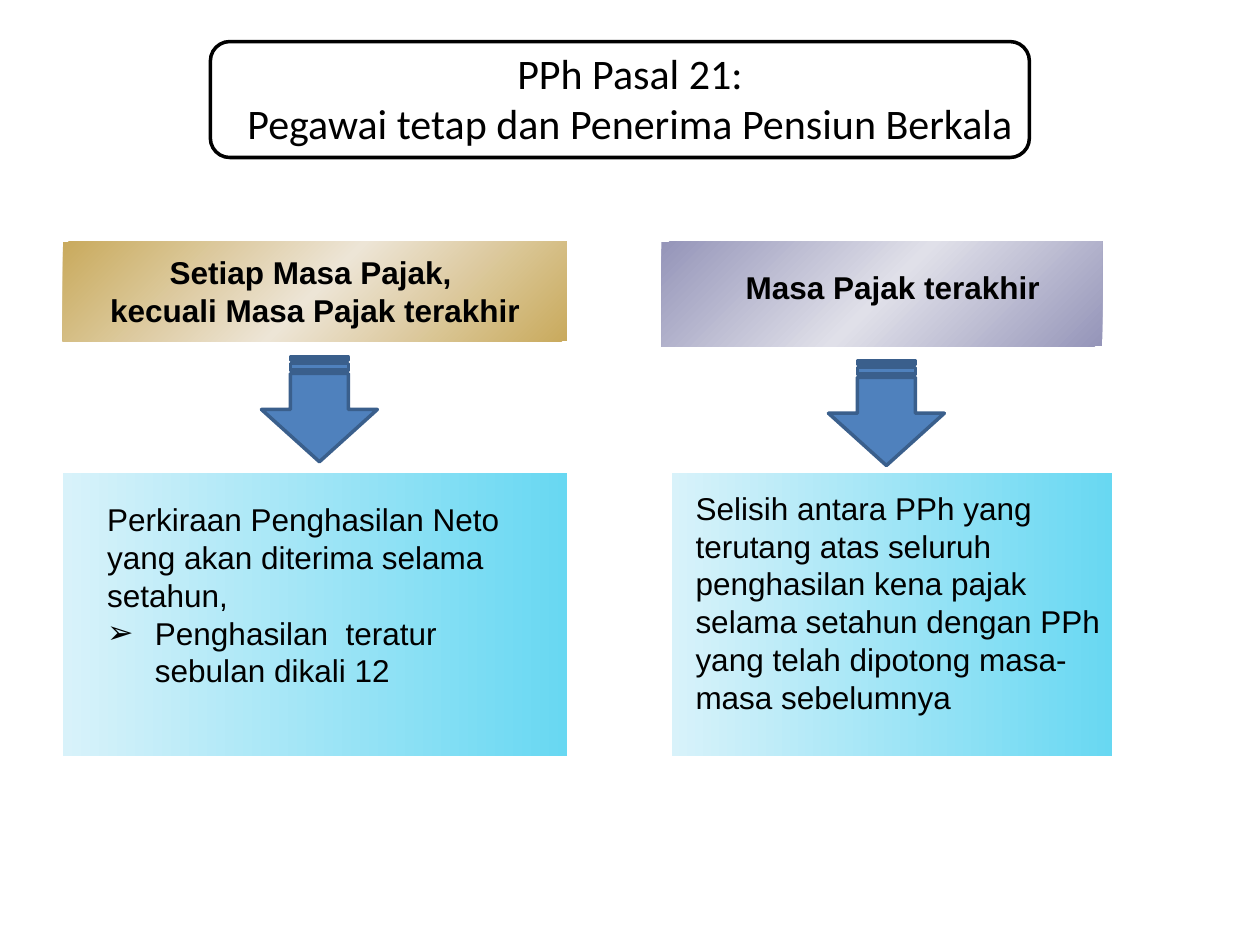
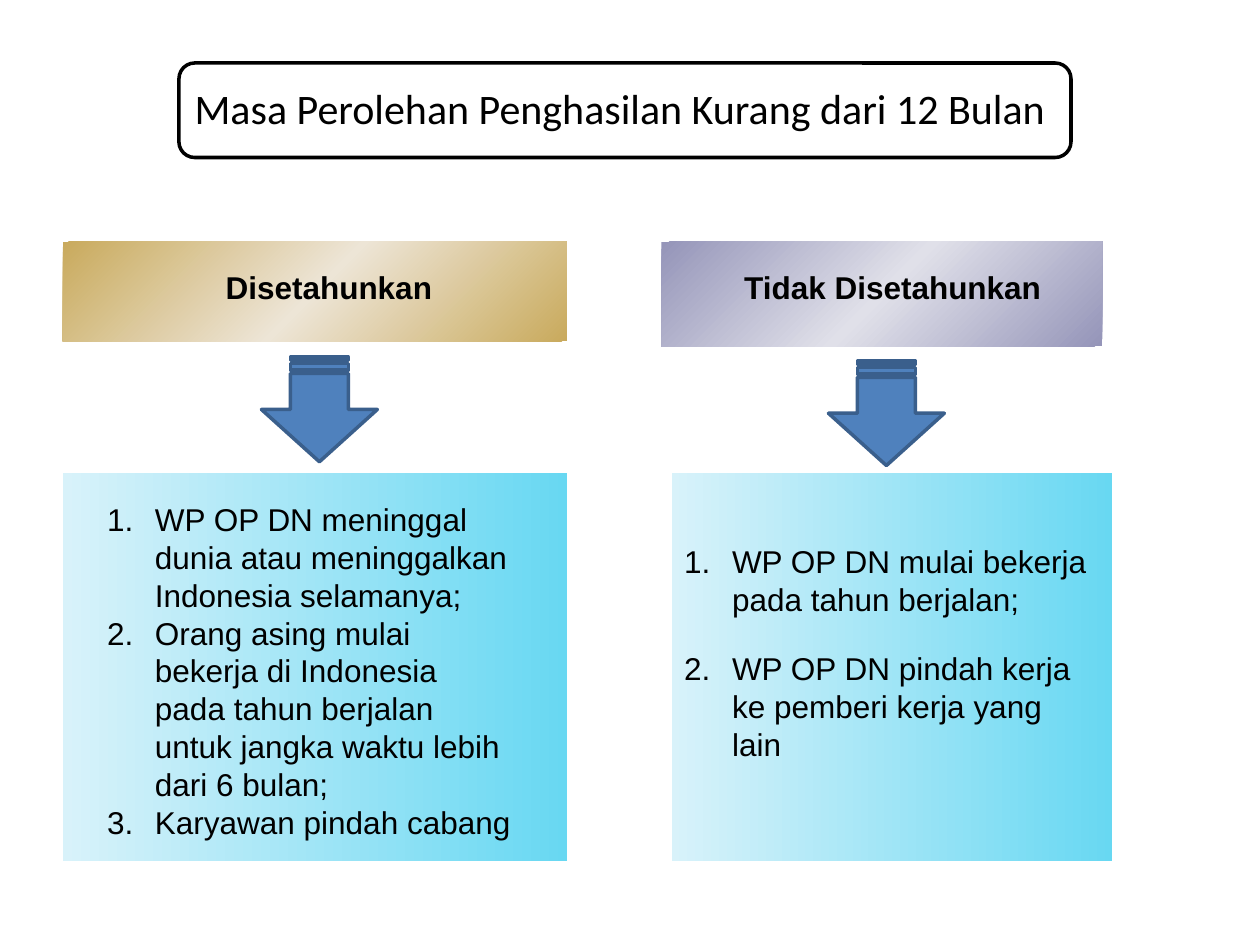
from dataclasses import dataclass
from typing import NamedTuple

from lxml.etree import SubElement
from pptx import Presentation
from pptx.dml.color import RGBColor
from pptx.enum.shapes import MSO_SHAPE
from pptx.enum.text import MSO_ANCHOR, MSO_AUTO_SIZE, PP_ALIGN
from pptx.oxml.ns import qn
from pptx.shapes.autoshape import Shape
from pptx.slide import Slide
from pptx.text.text import TextFrame, _Paragraph
from pptx.util import Emu, Pt

PX = 9144  # EMU in one px, 100 px to the inch


@dataclass(frozen=True)
class Theme:
    ink: str = "000000"
    gold: tuple[str, ...] = ("C9AA5D", "EDE5D6", "C9AA5D")
    mauve: tuple[str, ...] = ("9595B9", "E0E0E9", "9595B9")
    aqua: tuple[str, ...] = ("D8F2FA", "68D8F2")
    arrow: str = "4F81BD"
    edge: str = "3A5F8C"
    line: int = 2
    head: str = "Calibri"
    body: str = "Arial"
    big: int = 24
    text: int = 18
    indent: int = 38


THEME = Theme()


class Box(NamedTuple):
    x: int
    y: int
    w: int
    h: int

    def emu(self) -> list[Emu]:
        return [Emu(n * PX) for n in self]


class Item(NamedTuple):
    text: str
    mark: str = ""  # "1." numbers the item, any other mark is a bullet
    after: int = 0


class Side(NamedTuple):
    """What all slides share in one column."""
    band: Box
    tint: tuple[str, ...]
    arrow: Box
    x: int
    w: int


class Topic(NamedTuple):
    """What one slide says in one column."""
    head: tuple[str, ...]
    spot: Box
    items: list[Item]
    body: Box


class Page(NamedTuple):
    title: tuple[str, ...]
    spot: Box
    frame: Box
    deep: int
    topics: tuple[Topic, Topic]


SIDES = (
    Side(Box(50, 192, 400, 79), THEME.gold, Box(212, 279, 83, 92), 50, 400),
    Side(Box(525, 192, 350, 83), THEME.mauve, Box(662, 282, 83, 92), 533, 350),
)
PANEL_Y = 375

PAGES = [
    Page(
        ("PPh Pasal 21:", "Pegawai tetap dan Penerima Pensiun Berkala"),
        Box(50, 30, 900, 95), Box(167, 33, 650, 92), 225,
        (
            Topic(
                ("Setiap Masa Pajak, ", "kecuali Masa Pajak terakhir"),
                Box(64, 196, 372, 71),
                [
                    Item("Perkiraan Penghasilan Neto yang akan diterima "
                         "selama setahun,"),
                    Item("Penghasilan  teratur sebulan dikali 12", "➢"),
                ],
                Box(75, 392, 342, 162),
            ),
            Topic(
                ("Masa Pajak terakhir",),
                Box(546, 208, 325, 41),
                [Item("Selisih antara PPh yang terutang atas seluruh "
                      "penghasilan kena pajak selama setahun dengan PPh "
                      "yang telah dipotong masa-masa sebelumnya")],
                Box(542, 383, 342, 192),
            ),
        ),
    ),
    Page(
        ("Masa Perolehan Penghasilan Kurang dari 12 Bulan",),
        Box(42, 42, 900, 87), Box(142, 50, 708, 75), 308,
        (
            Topic(
                ("Disetahunkan",),
                Box(75, 208, 372, 40),
                [
                    Item("WP OP DN meninggal dunia atau meninggalkan "
                         "Indonesia selamanya;", "1."),
                    Item("Orang asing mulai bekerja di Indonesia pada tahun "
                         "berjalan untuk jangka waktu lebih dari 6 bulan;",
                         "1."),
                    Item("Karyawan pindah cabang", "1."),
                ],
                Box(75, 392, 342, 290),
            ),
            Topic(
                ("Tidak Disetahunkan",),
                Box(546, 208, 325, 41),
                [
                    Item("WP OP DN mulai bekerja pada tahun berjalan;",
                         "1.", 18),
                    Item("WP OP DN pindah kerja ke pemberi kerja yang lain",
                         "1."),
                ],
                Box(533, 425, 342, 247),
            ),
        ),
    ),
]


def color(code: str) -> RGBColor:
    return RGBColor.from_string(code)


def style(para: _Paragraph, face: str, size: int, bold: bool = False) -> None:
    font = para.font
    font.name, font.size, font.bold = face, Pt(size), bold
    font.color.rgb = color(THEME.ink)


def place(shape: Shape, box: Box) -> None:
    shape.left, shape.top, shape.width, shape.height = box.emu()


def lift(slide: Slide, shape: Shape) -> None:
    """Bring a placeholder to the front."""
    slide.shapes._spTree.append(shape._element)


def draw(slide: Slide, kind: MSO_SHAPE, box: Box, fill: str = "",
         edge: str = "") -> Shape:
    shape = slide.shapes.add_shape(kind, *box.emu())
    shape.shadow.inherit = False
    if fill:
        shape.fill.solid()
        shape.fill.fore_color.rgb = color(fill)
    else:
        shape.fill.background()
    if edge:
        shape.line.color.rgb = color(edge)
        shape.line.width = Pt(THEME.line)
    else:
        shape.line.fill.background()
    return shape


def blend(slide: Slide, box: Box, tints: tuple[str, ...], turn: int) -> None:
    """Draw a box with evenly spaced gradient stops."""
    shape = draw(slide, MSO_SHAPE.RECTANGLE, box)
    shape.fill.gradient()
    grad = shape._element.spPr.find(qn("a:gradFill"))
    stops = grad.find(qn("a:gsLst"))
    for old in list(stops):
        stops.remove(old)
    for i, tint in enumerate(tints):
        stop = SubElement(stops, qn("a:gs"),
                          pos=str(100000 * i // (len(tints) - 1)))
        SubElement(stop, qn("a:srgbClr"), val=tint)
    grad.find(qn("a:lin")).set("ang", str(turn * 60000))


def bullet(para: _Paragraph, mark: str) -> None:
    props = para._p.get_or_add_pPr()
    pad = THEME.indent * PX if mark else 0
    props.set("marL", str(pad))
    props.set("indent", str(-pad))
    if mark == "1.":
        SubElement(props, qn("a:buAutoNum"), type="arabicPeriod")
    elif mark:
        SubElement(props, qn("a:buChar"), char=mark)
    else:
        SubElement(props, qn("a:buNone"))


def title(slide: Slide, page: Page) -> None:
    shape = slide.shapes.title
    place(shape, page.spot)
    frame = shape.text_frame
    frame.auto_size = MSO_AUTO_SIZE.NONE
    frame.vertical_anchor = MSO_ANCHOR.MIDDLE
    para = frame.paragraphs[0]
    para.text = "\n".join(page.title)
    para.alignment = PP_ALIGN.CENTER
    style(para, THEME.head, THEME.big)
    lift(slide, shape)


def fresh(frame: TextFrame, i: int) -> _Paragraph:
    return frame.add_paragraph() if i else frame.paragraphs[0]


def label(slide: Slide, topic: Topic) -> None:
    frame = slide.shapes.add_textbox(*topic.spot.emu()).text_frame
    frame.word_wrap = True
    for i, text in enumerate(topic.head):
        para = fresh(frame, i)
        para.text = text
        para.alignment = PP_ALIGN.CENTER
        style(para, THEME.body, THEME.text, True)


def body(slide: Slide, shape: Shape, topic: Topic) -> None:
    place(shape, topic.body)
    frame = shape.text_frame
    frame.auto_size = MSO_AUTO_SIZE.NONE
    for i, item in enumerate(topic.items):
        para = fresh(frame, i)
        para.text = item.text
        para.space_before, para.space_after = Pt(0), Pt(item.after)
        bullet(para, item.mark)
        style(para, THEME.body, THEME.text)
    lift(slide, shape)


def build(slide: Slide, page: Page) -> None:
    holders = [slide.placeholders[1], slide.placeholders[2]]
    # Title and its frame
    draw(slide, MSO_SHAPE.ROUNDED_RECTANGLE, page.frame, edge=THEME.ink)
    title(slide, page)
    # Columns: band, arrow, panel
    for side, topic, holder in zip(SIDES, page.topics, holders):
        blend(slide, side.band, side.tint, 45)
        label(slide, topic)
        arrow = draw(slide, MSO_SHAPE.STRIPED_RIGHT_ARROW, side.arrow,
                     THEME.arrow, THEME.edge)
        arrow.rotation = 90
        blend(slide, Box(side.x, PANEL_Y, side.w, page.deep), THEME.aqua, 0)
        body(slide, holder, topic)


def main() -> None:
    deck = Presentation()
    deck.slide_width, deck.slide_height = Emu(1000 * PX), Emu(750 * PX)
    pair = deck.slide_layouts.get_by_name("Two Content")
    for page in PAGES:
        build(deck.slides.add_slide(pair), page)
    deck.save("out.pptx")


if __name__ == "__main__":
    main()
